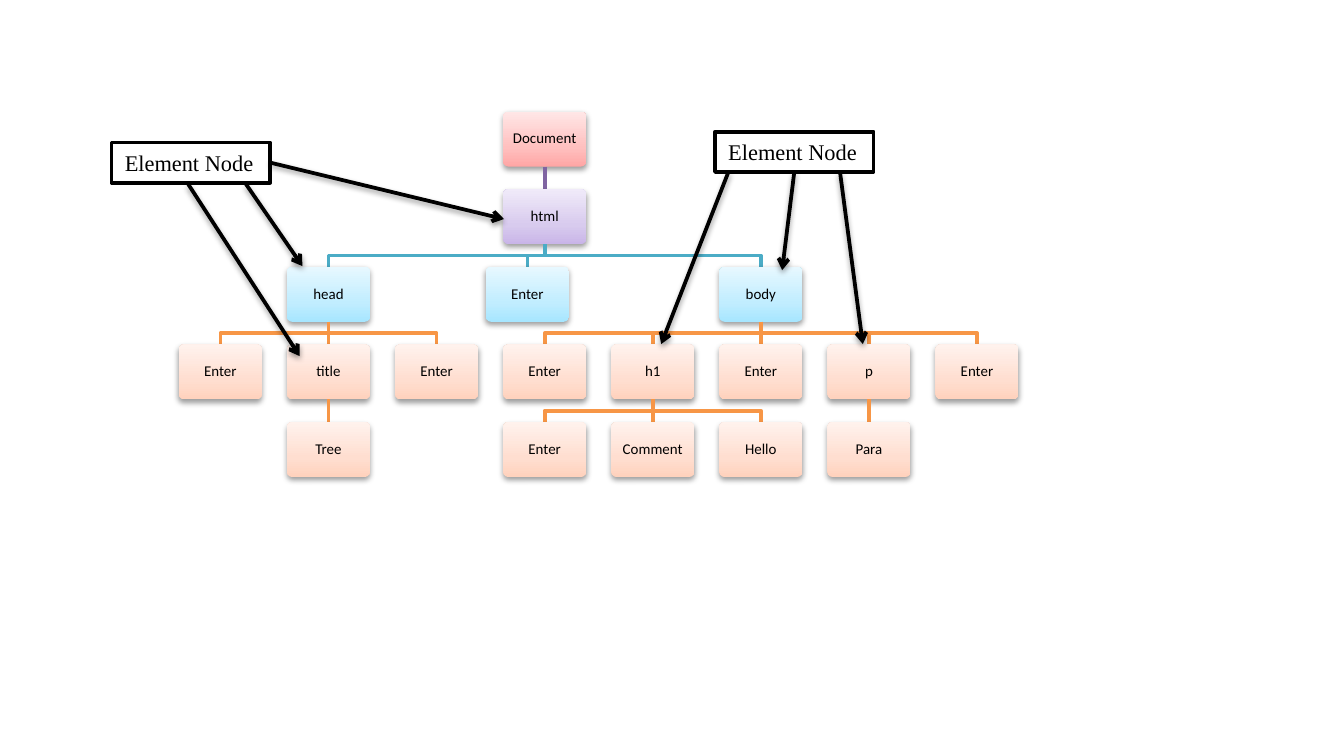
from dataclasses import dataclass

from lxml.etree import SubElement
from pptx import Presentation
from pptx.dml.color import RGBColor
from pptx.enum.shapes import MSO_CONNECTOR, MSO_SHAPE
from pptx.enum.text import MSO_ANCHOR, MSO_AUTO_SIZE, PP_ALIGN
from pptx.oxml.ns import qn
from pptx.util import Inches, Pt


@dataclass(frozen=True)
class Theme:
    """Colours, fonts and sizes of the slide."""
    ink: str = "000000"
    paper: str = "FFFFFF"
    node_font: str = "Calibri"
    label_font: str = "Times New Roman"
    node_size: float = 8
    label_size: float = 12
    line_width: float = 2
    # Gradient stops from bottom to top, one set for each level of the tree
    level_fills: tuple = (
        ("FFA6A5", "FFC0BF", "FFE7E7"),
        ("C9B5E8", "D8CBEE", "F0EAF9"),
        ("A7E6FF", "C1EDFF", "E7F8FF"),
        ("FFD2BD", "FFDED0", "FFF2ED"),
        ("FFD2BD", "FFDED0", "FFF2ED"),
    )
    # Colour of the branch that leads into each level
    level_branches: tuple = (None, "8064A2", "4BACC6", "F79646", "F79646")


THEME = Theme()
NODE_W, NODE_H = 0.62, 0.41
FIRST_CENTER, LAST_CENTER = 1.64, 7.27
COLUMN_PITCH = (LAST_CENTER - FIRST_CENTER) / 7
FIRST_TOP, LAST_TOP = 0.83, 3.14
ROW_PITCH = (LAST_TOP - FIRST_TOP) / 4

# Each node: (name, column, children)
DOM_TREE = ("Document", 3, [
    ("html", 3, [
        ("head", 1, [
            ("Enter", 0, []),
            ("title", 1, [("Tree", 1, [])]),
            ("Enter", 2, []),
        ]),
        ("Enter", 2.84, []),
        ("body", 5, [
            ("Enter", 3, []),
            ("h1", 4, [("Enter", 3, []), ("Comment", 4, []), ("Hello", 5, [])]),
            ("Enter", 5, []),
            ("p", 6, [("Para", 6, [])]),
            ("Enter", 7, []),
        ]),
    ]),
])

# Each label: (left, top, arrows as start and end points)
ELEMENT_LABELS = (
    (0.83, 1.06, (((1.83, 1.37), (2.25, 1.98)),
                  ((2.01, 1.21), (3.75, 1.63)),
                  ((1.40, 1.37), (2.23, 2.65)))),
    (5.32, 0.98, (((5.91, 1.28), (5.82, 2.01)),
                  ((5.42, 1.28), (4.92, 2.56)),
                  ((6.25, 1.28), (6.42, 2.56)))),
)


def write_text(shape, text, *, font, size, align=PP_ALIGN.LEFT,
               anchor=MSO_ANCHOR.TOP, inset=None, spacing=None, fit=False):
    """Put one formatted paragraph into a shape."""
    frame = shape.text_frame
    frame.vertical_anchor = anchor
    frame.word_wrap = not fit
    if fit:
        frame.auto_size = MSO_AUTO_SIZE.SHAPE_TO_FIT_TEXT
    if inset is not None:
        frame.margin_left = frame.margin_right = Inches(inset)
        frame.margin_top = frame.margin_bottom = Inches(inset)
    paragraph = frame.paragraphs[0]
    paragraph.alignment = align
    paragraph.line_spacing = spacing
    run = paragraph.add_run()
    run.text = text
    run.font.name = font
    run.font.size = Pt(size)
    run.font.color.rgb = RGBColor.from_string(THEME.ink)


def style_line(shape, color):
    """Give a shape or connector the common line weight."""
    shape.line.color.rgb = RGBColor.from_string(color)
    shape.line.width = Pt(THEME.line_width)


def set_effects(shape, shadow):
    """Replace inherited effects with none, or with a soft drop shadow."""
    effects = SubElement(shape._element.spPr, qn("a:effectLst"))
    if shadow:
        drop = SubElement(effects, qn("a:outerShdw"), blurRad=str(Pt(3.1)),
                          dist=str(Pt(1.6)), dir="5400000", rotWithShape="0")
        color = SubElement(drop, qn("a:srgbClr"), val=THEME.ink)
        SubElement(color, qn("a:alpha"), val="38000")


def fill_gradient(shape, colors):
    """Fill a shape with three stops running from bottom to top."""
    shape.fill.gradient()
    shape.fill.gradient_angle = 90
    stops = next(shape._element.spPr.iter(qn("a:gsLst")))
    for stop in list(stops):
        stops.remove(stop)
    for position, color in zip((0, 35000, 100000), colors):
        stop = SubElement(stops, qn("a:gs"), pos=str(position))
        SubElement(stop, qn("a:srgbClr"), val=color)


def add_straight(slide, start, end, color, arrow=False):
    """Draw a straight line, or an arrow with a shadow."""
    line = slide.shapes.add_connector(
        MSO_CONNECTOR.STRAIGHT, *(Inches(v) for v in (*start, *end)))
    style_line(line, color)
    if arrow:
        outline = line._element.spPr.find(qn("a:ln"))
        SubElement(outline, qn("a:tailEnd"), type="arrow")
    set_effects(line, shadow=arrow)


def add_branch(slide, start, end, color):
    """Join a parent to a child, with an elbow when they are not in line."""
    if start[0] == end[0]:
        add_straight(slide, start, end, color)
        return
    middle = (start[1] + end[1]) / 2
    points = (start, (start[0], middle), (end[0], middle), end)
    corners = [(Inches(x), Inches(y)) for x, y in points]
    builder = slide.shapes.build_freeform(*corners[0])
    builder.add_line_segments(corners[1:], close=False)
    elbow = builder.convert_to_shape()
    elbow.fill.background()
    style_line(elbow, color)
    set_effects(elbow, shadow=False)


def add_node(slide, name, center, top, level):
    """Draw one rounded box of the tree."""
    node = slide.shapes.add_shape(
        MSO_SHAPE.ROUNDED_RECTANGLE, Inches(center - NODE_W / 2), Inches(top),
        Inches(NODE_W), Inches(NODE_H))
    node.adjustments[0] = 0.1
    fill_gradient(node, THEME.level_fills[level])
    node.line.fill.background()
    set_effects(node, shadow=True)
    write_text(node, name, font=THEME.node_font, size=THEME.node_size,
               align=PP_ALIGN.CENTER, anchor=MSO_ANCHOR.MIDDLE,
               inset=0.04, spacing=0.9)


def add_tree(slide, tree, level=0, parent_center=None):
    """Draw a node, the branch into it and everything below it."""
    name, column, children = tree
    center = FIRST_CENTER + column * COLUMN_PITCH
    top = FIRST_TOP + level * ROW_PITCH
    if parent_center is not None:
        parent_bottom = top - ROW_PITCH + NODE_H
        add_branch(slide, (parent_center, parent_bottom), (center, top),
                   THEME.level_branches[level])
    add_node(slide, name, center, top, level)
    for child in children:
        add_tree(slide, child, level + 1, center)


def add_label(slide, text, left, top):
    """Draw a framed label."""
    label = slide.shapes.add_shape(
        MSO_SHAPE.RECTANGLE, Inches(left), Inches(top), Inches(1.18), Inches(0.3))
    label.fill.solid()
    label.fill.fore_color.rgb = RGBColor.from_string(THEME.paper)
    style_line(label, THEME.ink)
    set_effects(label, shadow=False)
    write_text(label, text, font=THEME.label_font, size=THEME.label_size, fit=True)


def main():
    """Build the slide and save it."""
    deck = Presentation()
    deck.slide_width = Inches(10)
    deck.slide_height = deck.slide_width * 9 // 16
    slide = deck.slides.add_slide(deck.slide_layouts[6])
    add_tree(slide, DOM_TREE)
    for left, top, arrows in ELEMENT_LABELS:
        add_label(slide, "Element Node", left, top)
        for start, end in arrows:
            add_straight(slide, start, end, THEME.ink, arrow=True)
    deck.save("out.pptx")


main()
